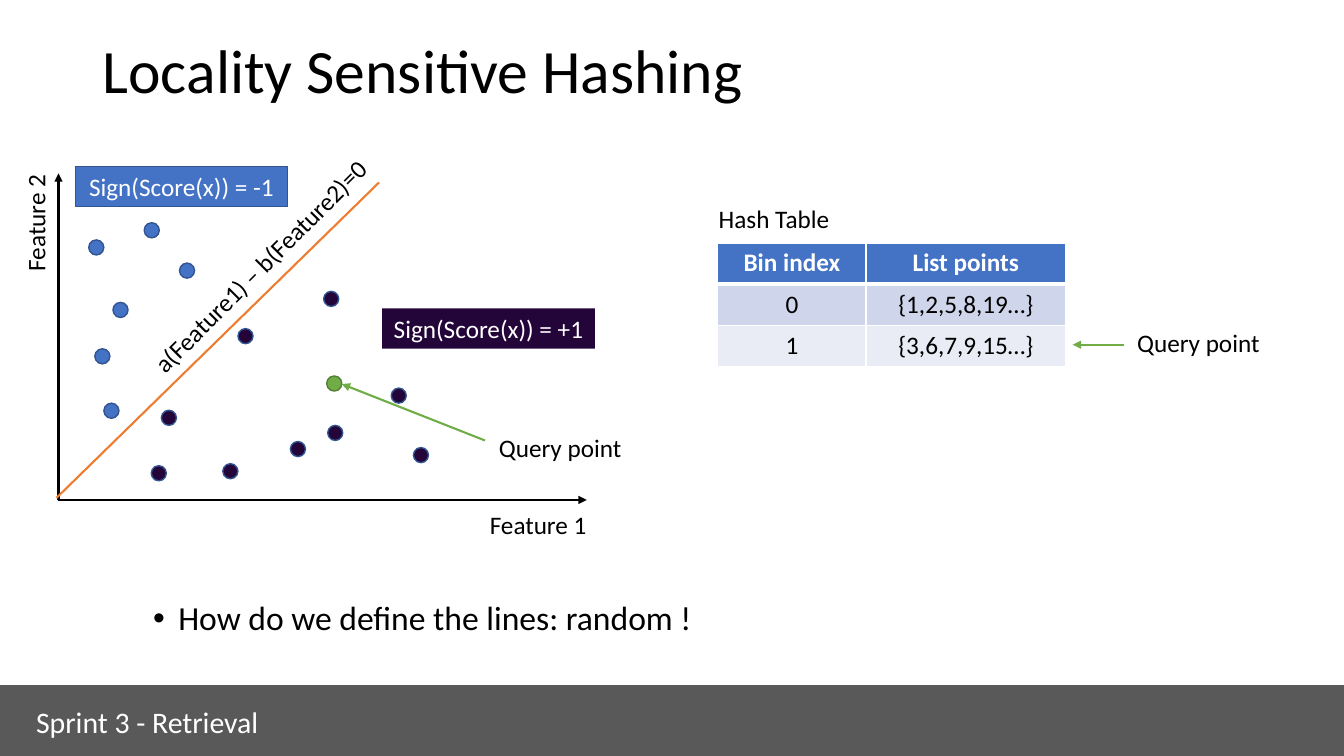
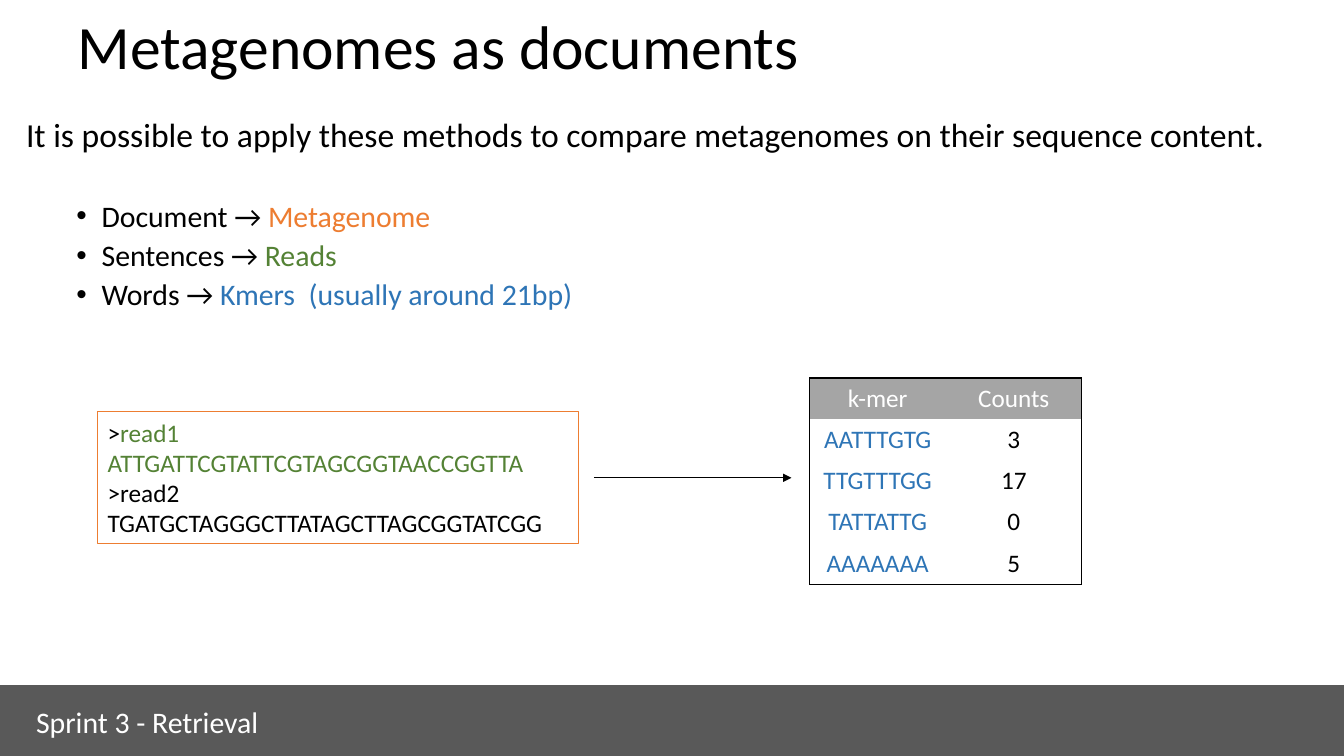
from lxml.etree import SubElement
from pptx import Presentation
from pptx.dml.color import RGBColor
from pptx.enum.shapes import MSO_CONNECTOR, MSO_SHAPE
from pptx.enum.text import MSO_ANCHOR, PP_ALIGN
from pptx.oxml.ns import qn
from pptx.util import Pt

PX = 9144  # 100 px to the inch
WIDE, HIGH = 1333, 750
FONT = "Calibri"
PLAIN = "{2D5ABB26-0587-4C30-8999-92F81FD0307C}"  # table style without grid
HEX = {
    "black": "000000", "white": "FFFFFF", "band": "595959", "gray": "A5A5A5",
    "blue": "4472C4", "navy": "325491", "plum": "240539", "orange": "ED7D31",
    "lime": "70AD47", "moss": "538035", "green": "548235", "sky": "2E75B6",
    "pale": "CFD5EA", "mist": "E9EBF5",
}


def emu(*vals):
    return [val * PX for val in vals]


def rgb(name):
    return RGBColor.from_string(HEX[name])


# Text: one paragraph, whose runs are strings or (string, colour) pairs
def write(frame, *runs, size=18, color="black", align=None, bold=False,
          lead=None, before=None, bullet=False):
    para = frame.paragraphs[0]
    if para.runs:
        para = frame.add_paragraph()
    para.alignment, para.line_spacing, para.space_before = align, lead, before
    if bullet:
        props = para._p.get_or_add_pPr()
        left, hang = emu(75, -25)
        props.set("marL", str(left))
        props.set("indent", str(hang))
        SubElement(props, qn("a:buFont"), typeface="Arial")
        SubElement(props, qn("a:buChar"), char="•")
    for item in runs:
        words, tint = (item, color) if isinstance(item, str) else item
        run = para.add_run()
        run.text = words
        font = run.font
        font.name, font.size, font.bold = FONT, Pt(size), bold
        font.color.rgb = rgb(tint)


def area(slide, *spot, turn=0, anchor=MSO_ANCHOR.TOP):
    box = slide.shapes.add_textbox(*emu(*spot))
    box.rotation = turn
    frame = box.text_frame
    frame.word_wrap, frame.vertical_anchor = True, anchor
    return frame


def label(slide, words, *spot, turn=0, **form):
    write(area(slide, *spot, turn=turn), words, **form)


# Shapes and lines
def shape(slide, kind, *spot, fill, line=None):
    form = slide.shapes.add_shape(kind, *emu(*spot))
    form.shadow.inherit = False
    form.fill.solid()
    form.fill.fore_color.rgb = rgb(fill)
    if line:
        form.line.color.rgb = rgb(line)
        form.line.width = Pt(1)
    else:
        form.line.fill.background()
    form.text_frame.word_wrap = True
    return form


def dot(slide, x, y, fill, line="navy"):
    shape(slide, MSO_SHAPE.OVAL, x, y, 15, 15, fill=fill, line=line)


def tag(slide, words, *spot, fill, line=None):
    form = shape(slide, MSO_SHAPE.RECTANGLE, *spot, fill=fill, line=line)
    write(form.text_frame, words, color="white", align=PP_ALIGN.CENTER)


def link(slide, start, end, color="black", width=1.5, head=True):
    wire = slide.shapes.add_connector(
        MSO_CONNECTOR.STRAIGHT, *emu(*start, *end))
    wire.line.color.rgb = rgb(color)
    wire.line.width = Pt(width)
    props = wire._element.spPr
    if head:
        SubElement(props.find(qn("a:ln")), qn("a:tailEnd"), type="triangle")
    SubElement(props, qn("a:effectLst"))


# Tables: look(row, col) gives text format, fill and edge widths of a cell
def edge(cell, widths, color):
    props = cell._tc.get_or_add_tcPr()
    sides = [side for side in "LRTB" if side in widths]
    for spot, side in enumerate(sides):
        line = SubElement(props, qn("a:ln" + side), w=str(Pt(widths[side])))
        fill = SubElement(line, qn("a:solidFill"))
        SubElement(fill, qn("a:srgbClr"), val=HEX[color])
        props.insert(spot, line)


def grid(slide, x, y, cols, rows, look, border):
    tall = 41
    frame = slide.shapes.add_table(
        len(rows), len(cols), *emu(x, y, sum(cols), tall * len(rows)))
    table = frame.table
    table.first_row = table.horz_banding = False
    next(frame._element.iter(qn("a:tableStyleId"))).text = PLAIN
    for col, width in zip(table.columns, emu(*cols)):
        col.width = width
    for r, row in enumerate(rows):
        for c, words in enumerate(row):
            cell = table.cell(r, c)
            form, fill, widths = look(r, c)
            write(cell.text_frame, words, align=PP_ALIGN.CENTER, **form)
            if fill:
                cell.fill.solid()
                cell.fill.fore_color.rgb = rgb(fill)
            else:
                cell.fill.background()
            edge(cell, widths, border)


def hash_look(r, c):
    head = r == 0
    form = {"color": "white" if head else "black", "bold": head}
    widths = {"L": 1, "R": 1, "T": 3 if r == 1 else 1, "B": 3 if head else 1}
    return form, ("blue", "pale", "mist")[r], widths


def count_look(r, c):
    color = "white" if r == 0 else ("sky", "black")[c]
    sides = "LR"[c] + {0: "T", 4: "B"}.get(r, "")
    return {"color": color}, None if r else "gray", dict.fromkeys(sides, 1)


# Shared title and footer band
def page(deck, title, *spot):
    slide = deck.slides.add_slide(deck.slide_layouts[6])
    write(area(slide, *spot, anchor=MSO_ANCHOR.MIDDLE), title,
          size=44, lead=0.9)
    shape(slide, MSO_SHAPE.RECTANGLE, 0, 680, WIDE, 70,
          fill="band", line="band")
    label(slide, "Sprint 3 - Retrieval", 26, 693, 336, 46,
          size=21.3, color="white")
    return slide


def hashing(deck):
    slide = page(deck, "Locality Sensitive Hashing", 92, 0, 1150, 145)

    # Axes and points
    for end in ((58, 172), (582, 496)):
        link(slide, (58, 496), end)
    points = {
        "blue": [(88, 238), (94, 346), (112, 300), (143, 221), (178, 261),
                 (103, 400)],
        "plum": [(236, 326), (321, 289), (160, 407), (150, 462), (221, 460),
                 (325, 422), (288, 438), (410, 444), (388, 385)],
    }
    for fill, spots in points.items():
        for x, y in spots:
            dot(slide, x, y, fill)
    label(slide, "Feature 1", 476, 500, 126, 40)
    label(slide, "Feature 2", -28, 196, 126, 40, turn=270)

    # Dividing line and its two sides
    link(slide, (56, 494), (376, 181), "orange", head=False)
    label(slide, "a(Feature1) – b(Feature2)=0", 100, 231, 342, 40, turn=315)
    tag(slide, "Sign(Score(x)) = +1", 379, 306, 211, 40, fill="plum")
    tag(slide, "Sign(Score(x)) = -1", 75, 165, 210, 40,
        fill="blue", line="navy")

    # Hash table
    label(slide, "Hash Table", 703, 197, 292, 40)
    rows = [("Bin index", "List points"), ("0", "{1,2,5,8,19…}"),
            ("1", "{3,6,7,9,15…}")]
    grid(slide, 712, 241, (147, 198), rows, hash_look, "white")

    # Query point in the plot and in the table
    dot(slide, 324, 373, "lime", "moss")
    for start, end, x, y in (((481, 437), (339, 381), 485, 424),
                             ((1115, 342), (1064, 342), 1118, 320)):
        link(slide, start, end, "lime")
        label(slide, "Query point", x, y, 144, 40)

    label(slide, "How do we define the lines: random !", 92, 592, 1150, 58,
          size=24, lead=0.9, bullet=True)


def genomes(deck):
    slide = page(deck, "Metagenomes as documents", 67, 0, 1200, 99)

    # Analogy
    body = area(slide, 16, 113, 1317, 216)
    write(body, "It is possible to apply these methods to compare "
          "metagenomes on their sequence content.", size=24, lead=0.9)
    pairs = [("Document", "Metagenome", "orange", 33),
             ("Sentences", "Reads", "green", 5),
             ("Words", "Kmers  (usually around 21bp)", "sky", 5)]
    for term, match, color, gap in pairs:
        write(body, term + " → ", (match, color), size=21.3, lead=0.9,
              before=Pt(gap), bullet=True)

    # Reads
    reads = shape(slide, MSO_SHAPE.RECTANGLE, 97, 408, 477, 131,
                  fill="white", line="orange").text_frame
    for runs in ([">", ("read1", "green")],
                 [("ATTGATTCGTATTCGTAGCGGTAACCGGTTA", "green")],
                 [">read2"],
                 ["TGATGCTAGGGCTTATAGCTTAGCGGTATCGG"]):
        write(reads, *runs, align=PP_ALIGN.LEFT)

    # Counts
    link(slide, (589, 474), (785, 474), width=0.5)
    rows = [("k-mer", "Counts"), ("AATTTGTG", "3"), ("TTGTTTGG", "17"),
            ("TATTATTG", "0"), ("AAAAAAA", "5")]
    grid(slide, 803, 375, (135, 135), rows, count_look, "black")


def main():
    deck = Presentation()
    deck.slide_width, deck.slide_height = emu(WIDE, HIGH)
    hashing(deck)
    genomes(deck)
    deck.save("out.pptx")


if __name__ == "__main__":
    main()
